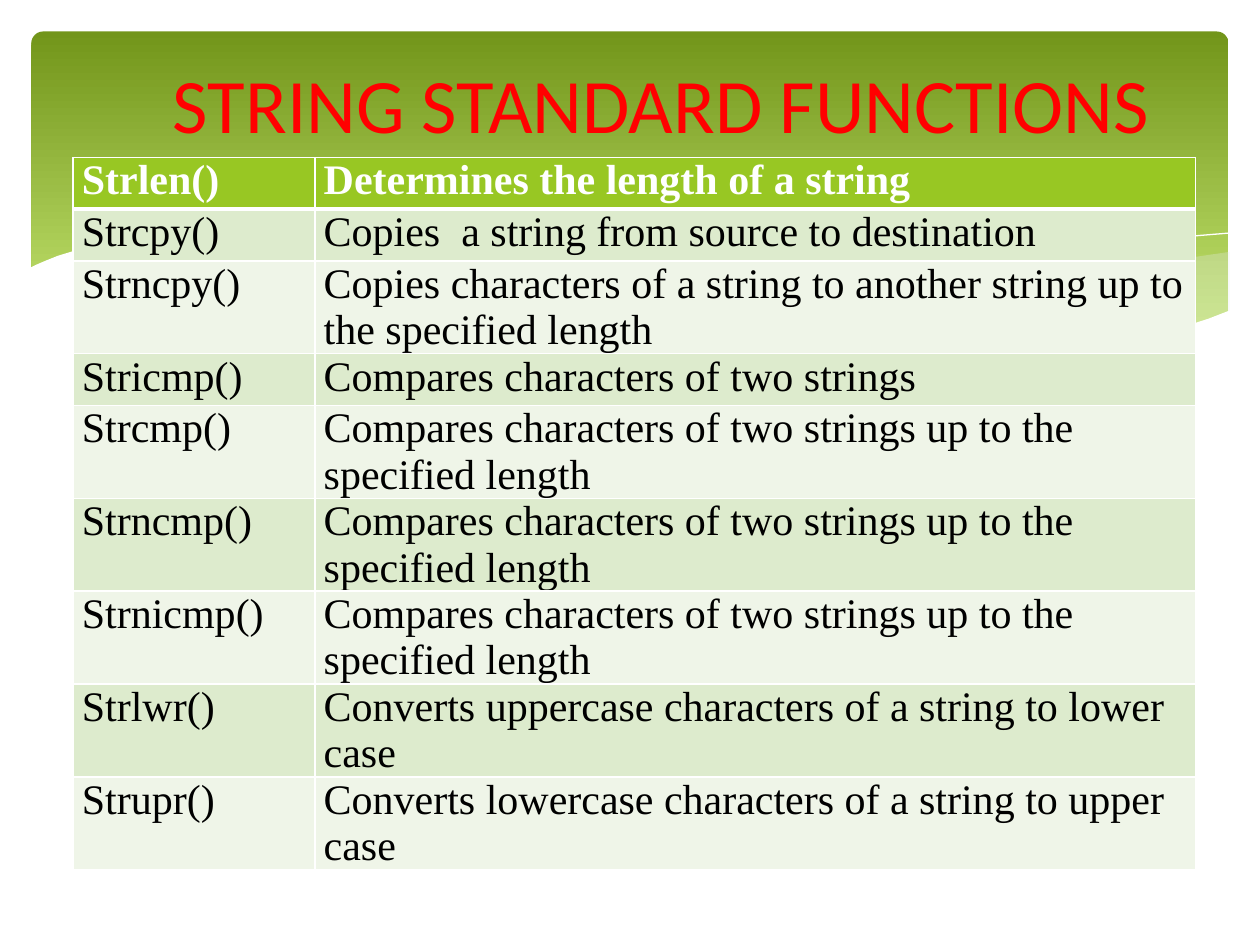
import pptx
import pptx.dml.color
import pptx.enum.shapes
import pptx.enum.text
import pptx.oxml
import pptx.oxml.ns
import pptx.util
from lxml import etree

RGBColor = pptx.dml.color.RGBColor
WHITE = RGBColor(0xFF, 0xFF, 0xFF)
BLACK = RGBColor(0, 0, 0)
RED = RGBColor(0xFF, 0, 0)
MIST = RGBColor(0xE7, 0xEC, 0xED)
DARK_GREEN = RGBColor(0x72, 0x95, 0x1A)
LIGHT_GREEN = RGBColor(0xC5, 0xE6, 0x72)
HEADER_GREEN = RGBColor(0x98, 0xC7, 0x23)
BANDS = (RGBColor(0xDD, 0xEB, 0xCD), RGBColor(0xEF, 0xF5, 0xE8))

SLIDE_W = pptx.util.Inches(10)
SLIDE_H = pptx.util.Inches(7.5)
UNIT = SLIDE_W / 1000  # wave outlines are in thousandths of the slide width

RIGHT_SWELL = [
    (975, 200), (948, 204), (921, 210), (891, 216), (861, 223), (805, 237),
    (753, 248), (706, 257), (661, 265), (691, 269), (719, 272), (745, 275),
    (769, 277), (803, 278), (835, 277), (863, 275), (889, 272), (913, 267),
    (935, 262), (949, 257), (963, 252), (976, 247), (976, 200)]
MIDDLE_SWELL = [
    (893, 273), (866, 269), (837, 265), (807, 260), (775, 254), (741, 247),
    (706, 240), (668, 231), (629, 222), (598, 214), (569, 208), (541, 203),
    (514, 198), (489, 194), (465, 191), (442, 189), (420, 187), (399, 186),
    (361, 185), (328, 187), (299, 189), (286, 191), (323, 196), (362, 203),
    (404, 211), (449, 222), (491, 232), (530, 240), (566, 248), (601, 255),
    (634, 261), (665, 266), (695, 270), (722, 274), (748, 276), (773, 277),
    (807, 278), (838, 278), (867, 276), (893, 273)]
LONG_CREST = [
    (309, 195), (328, 192), (353, 189), (387, 187), (433, 187), (469, 189),
    (510, 192), (556, 197), (608, 204), (665, 213), (727, 226), (795, 241),
    (869, 261), (907, 272)]
RIGHT_CREST = [
    (613, 257), (653, 246), (695, 235), (748, 223), (806, 210), (866, 199),
    (895, 194), (924, 190), (951, 187), (975, 185)]
WHITE_WAVE = [
    (977, 246), (959, 253), (940, 259), (920, 265), (899, 269), (875, 273),
    (850, 275), (823, 277), (793, 276), (761, 275), (726, 272), (688, 268),
    (648, 262), (603, 254), (555, 245), (503, 233), (447, 220), (391, 207),
    (340, 197), (292, 190), (250, 186), (211, 184), (177, 184), (146, 185),
    (119, 187), (95, 191), (76, 195), (59, 199), (46, 203), (36, 207),
    (29, 210), (23, 213), (23, 329), (977, 329)]

FUNCTIONS = [
    ("Strlen()", "Determines the length of a string"),
    ("Strcpy()", "Copies  a string from source to destination"),
    ("Strncpy()", "Copies characters of a string to another string up to the specified length"),
    ("Stricmp()", "Compares characters of two strings"),
    ("Strcmp()", "Compares characters of two strings up to the specified length"),
    ("Strncmp()", "Compares characters of two strings up to the specified length"),
    ("Strnicmp()", "Compares characters of two strings up to the specified length"),
    ("Strlwr()", "Converts uppercase characters of a string to lower case"),
    ("Strupr()", "Converts lowercase characters of a string to upper case"),
]


def add_run(paragraph, text, font, size, color, bold=False):
    run = paragraph.add_run()
    run.text = text
    run.font.name = font
    run.font.size = pptx.util.Pt(size)
    run.font.color.rgb = color
    run.font.bold = bold


def add_banner(slide):
    inset = SLIDE_W * 0.025
    banner = slide.shapes.add_shape(
        pptx.enum.shapes.MSO_SHAPE.ROUNDED_RECTANGLE,
        int(inset), int(inset), int(SLIDE_W - 2 * inset), int(SLIDE_H * 0.36))
    banner.adjustments[0] = 0.034
    banner.shadow.inherit = False
    banner.line.fill.background()
    banner.fill.gradient()
    banner.fill.gradient_angle = 270
    stops = zip(banner.fill.gradient_stops, (DARK_GREEN, LIGHT_GREEN), (0, 0.9))
    for stop, color, position in stops:
        stop.color.rgb = color
        stop.position = position


def add_curve(slide, points, closed):
    builder = slide.shapes.build_freeform(*points[0], scale=UNIT)
    builder.add_line_segments(points[1:], close=closed)
    curve = builder.convert_to_shape()
    curve.shadow.inherit = False
    return curve


def add_wave(slide, points, color, opacity=100):
    """Add a filled wave; opacity is in percent."""
    wave = add_curve(slide, points, closed=True)
    wave.line.fill.background()
    wave.fill.solid()
    wave.fill.fore_color.rgb = color
    if opacity < 100:
        tint = wave.fill._xPr.find(".//" + pptx.oxml.ns.qn("a:srgbClr"))
        etree.SubElement(tint, pptx.oxml.ns.qn("a:alpha"), val=str(opacity * 1000))


def add_crest(slide, points):
    crest = add_curve(slide, points, closed=False)
    crest.fill.background()
    crest.line.color.rgb = WHITE
    crest.line.width = pptx.util.Pt(0)


def set_borders(cell, widths):
    """Draw white borders; widths maps the sides L, R, T, B to points."""
    properties = cell._tc.get_or_add_tcPr()
    for side, width in widths.items():
        border = etree.SubElement(
            properties, pptx.oxml.ns.qn("a:ln" + side), w=str(pptx.util.Pt(width)))
        fill = etree.SubElement(border, pptx.oxml.ns.qn("a:solidFill"))
        etree.SubElement(fill, pptx.oxml.ns.qn("a:srgbClr"), val=str(WHITE))


def fill_cell(cell, text, row):
    header = row == 0
    set_borders(cell, {"L": 1, "R": 1, "T": 3 if row == 1 else 1, "B": 3 if header else 1})
    cell.fill.solid()
    cell.fill.fore_color.rgb = HEADER_GREEN if header else BANDS[(row - 1) % 2]
    cell.margin_left = cell.margin_right = pptx.util.Inches(0.07)
    cell.margin_top = cell.margin_bottom = 0
    add_run(cell.text_frame.paragraphs[0], text, "Times New Roman", 24,
            WHITE if header else BLACK, bold=header)


def add_function_table(slide):
    widths = [pptx.util.Inches(1.92), pptx.util.Inches(6.99)]
    row_height = pptx.util.Inches(0.41)
    table = slide.shapes.add_table(
        len(FUNCTIONS), len(widths), int(SLIDE_W * 0.058), int(SLIDE_H / 6),
        sum(widths), row_height * len(FUNCTIONS)).table
    for column, width in zip(table.columns, widths):
        column.width = width
    for row, entry in enumerate(FUNCTIONS):
        table.rows[row].height = row_height
        for column, text in enumerate(entry):
            fill_cell(table.cell(row, column), text, row)


def add_title(slide, text):
    title = slide.shapes.add_textbox(
        int(SLIDE_W * 0.1), int(SLIDE_H * 0.04), int(SLIDE_W * 0.85), pptx.util.Inches(1.03))
    frame = title.text_frame
    frame.word_wrap = True
    frame.vertical_anchor = pptx.enum.text.MSO_ANCHOR.MIDDLE
    heading = frame.paragraphs[0]
    heading.alignment = pptx.enum.text.PP_ALIGN.CENTER
    add_run(heading, text, "Calibri", 44, RED)


def main():
    deck = pptx.Presentation()
    deck.slide_width, deck.slide_height = SLIDE_W, SLIDE_H
    slide = deck.slides.add_slide(deck.slide_layouts[6])
    add_banner(slide)
    add_wave(slide, RIGHT_SWELL, MIST, opacity=29)
    add_wave(slide, MIDDLE_SWELL, MIST, opacity=40)
    add_crest(slide, LONG_CREST)
    add_crest(slide, RIGHT_CREST)
    add_wave(slide, WHITE_WAVE, WHITE)
    add_function_table(slide)
    add_title(slide, "STRING STANDARD FUNCTIONS")
    deck.save("out.pptx")


if __name__ == "__main__":
    main()
